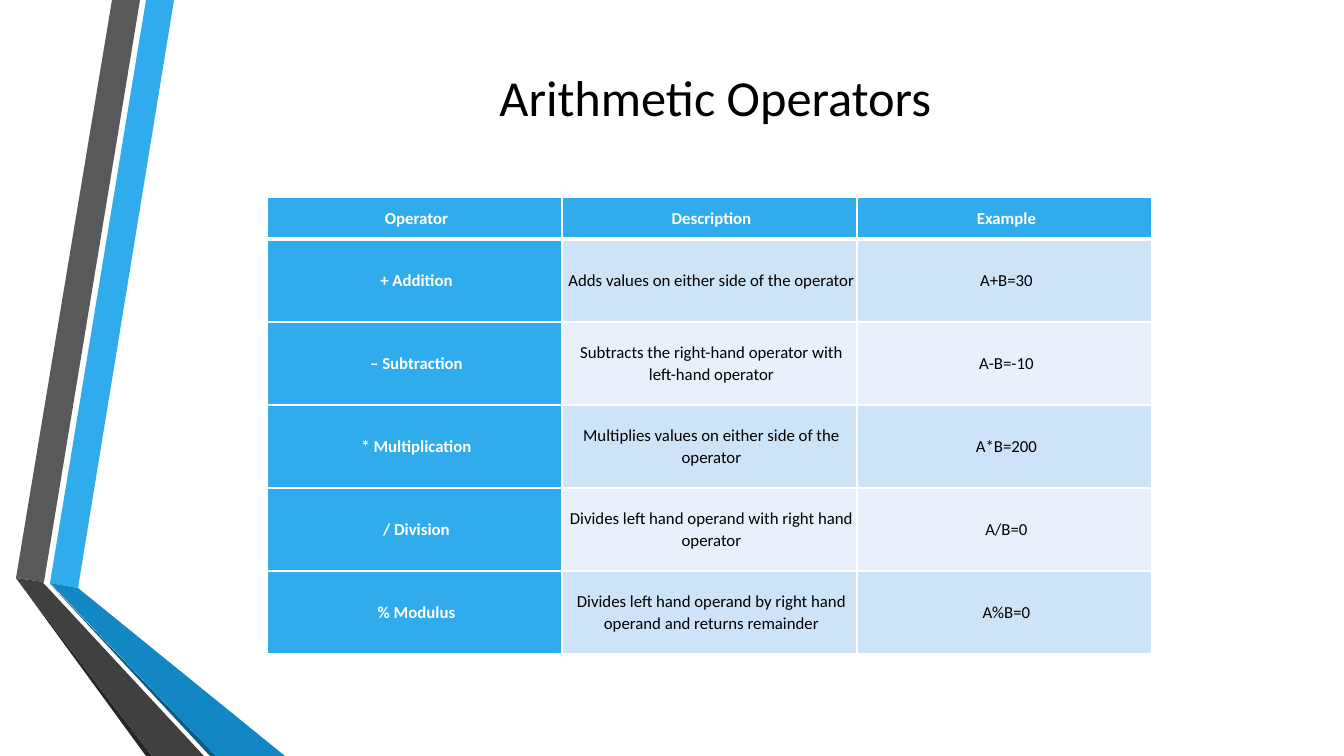
import pptx
import pptx.util
import pptx.dml.color
import pptx.enum.text
import pptx.oxml
import pptx.oxml.ns

RGB = pptx.dml.color.RGBColor
BLUE = RGB(0x30, 0xAC, 0xEC)
DEEP_BLUE = RGB(0x12, 0x87, 0xC3)
NAVY = RGB(0x0C, 0x5A, 0x82)
GREY = RGB(0x59, 0x59, 0x59)
CHARCOAL = RGB(0x40, 0x40, 0x40)
DARK = RGB(0x26, 0x26, 0x26)
BAND_DARK = RGB(0xCD, 0xE3, 0xF8)
BAND_LIGHT = RGB(0xE8, 0xF1, 0xFB)
WHITE = RGB(0xFF, 0xFF, 0xFF)
BLACK = RGB(0, 0, 0)

SCALE = 914400 / 100.8  # EMU per pixel


def px(n):
    return pptx.util.Emu(round(n * SCALE))


class Deck:
    font = "Calibri"
    middle = pptx.enum.text.MSO_ANCHOR.MIDDLE

    def __init__(self, width, height):
        self.prs = pptx.Presentation()
        self.prs.slide_width, self.prs.slide_height = px(width), px(height)
        self.s = self.prs.slides.add_slide(self.prs.slide_layouts[6])

    def polygon(self, points, color):
        fb = self.s.shapes.build_freeform(*points[0], scale=SCALE)
        fb.add_line_segments(points[1:], close=True)
        sp = fb.convert_to_shape()
        sp.shadow.inherit = False
        sp.fill.solid()
        sp.fill.fore_color.rgb = color
        sp.line.fill.background()

    def add_text(self, tf, text, size, color, bold=False):
        tf.word_wrap = True
        p = tf.paragraphs[0]
        p.alignment = pptx.enum.text.PP_ALIGN.CENTER
        r = p.add_run()
        r.text = text
        r.font.name, r.font.size = self.font, pptx.util.Pt(size)
        r.font.bold, r.font.color.rgb = bold, color
        return p

    def text_box(self, x, y, w, h, text, size, color):
        tf = self.s.shapes.add_textbox(px(x), px(y), px(w), px(h)).text_frame
        tf.vertical_anchor = self.middle
        self.add_text(tf, text, size, color)

    def borders(self, cell, widths):
        tc_pr = cell._tc.get_or_add_tcPr()
        for i, (side, width) in enumerate(zip("LRTB", widths)):
            tc_pr.insert(i, pptx.oxml.parse_xml(
                f'<a:ln{side} {pptx.oxml.ns.nsdecls("a")} w="{pptx.util.Pt(width)}">'
                f'<a:solidFill><a:srgbClr val="{WHITE}"/></a:solidFill></a:ln{side}>'))

    def cell(self, cell, text, fill, color, bold, widths):
        cell.fill.solid()
        cell.fill.fore_color.rgb = fill
        cell.vertical_anchor = self.middle
        cell.margin_left = px(5)
        cell.margin_top = cell.margin_right = cell.margin_bottom = px(1)
        p = self.add_text(cell.text_frame, text, 12, color, bold)
        p.line_spacing, p.space_after = 1.07, pptx.util.Pt(8)
        self.borders(cell, widths)

    def table(self, x, y, col_w, heights, rows):
        table = self.s.shapes.add_table(
            len(rows), len(rows[0]), px(x), px(y),
            px(col_w * len(rows[0])), px(sum(heights))).table
        for col in table.columns:
            col.width = px(col_w)
        for i, row in enumerate(rows):
            table.rows[i].height = px(heights[i])
            # The header is set off from the body by a thicker rule
            widths = (1, 1, 3 if i == 1 else 1, 3 if i == 0 else 1)
            for j, text in enumerate(row):
                head = i == 0 or j == 0
                band = BAND_DARK if i % 2 else BAND_LIGHT
                self.cell(table.cell(i, j), text, BLUE if head else band,
                          WHITE if head else BLACK, head, widths)


deck = Deck(1344, 756)

# Folded ribbons on the left
RIBBONS = [
    (BLUE, [(50, 583), (78, 588), (174, 0), (146, 0)]),
    (GREY, [(140, 0), (112, 0), (16, 578), (44, 582)]),
    (DARK, [(16, 578), (146, 756), (152, 756)]),
    (NAVY, [(50, 584), (210, 756), (216, 756)]),
    (DEEP_BLUE, [(50, 583), (216, 756), (285, 756), (78, 588)]),
    (CHARCOAL, [(204, 756), (48, 588), (43, 583), (44, 582), (16, 578), (152, 756)]),
]
for color, points in RIBBONS:
    deck.polygon(points, color)

# Title
deck.text_box(163, 61, 1105, 70, "Arithmetic Operators", 36, BLACK)

# Operator table
OPERATORS = [
    ("Operator", "Description", "Example"),
    ("+ Addition", "Adds values on either side of the operator", "A+B=30"),
    ("– Subtraction", "Subtracts the right-hand operator with left-hand operator", "A-B=-10"),
    ("* Multiplication", "Multiplies values on either side of the operator", "A*B=200"),
    ("/ Division", "Divides left hand operand with right hand operator", "A/B=0"),
    ("% Modulus", "Divides left hand operand by right hand operand and returns remainder",
     "A%B=0"),
]
deck.table(267, 197, 295, [42] + [83] * 5, OPERATORS)

deck.prs.save("out.pptx")
